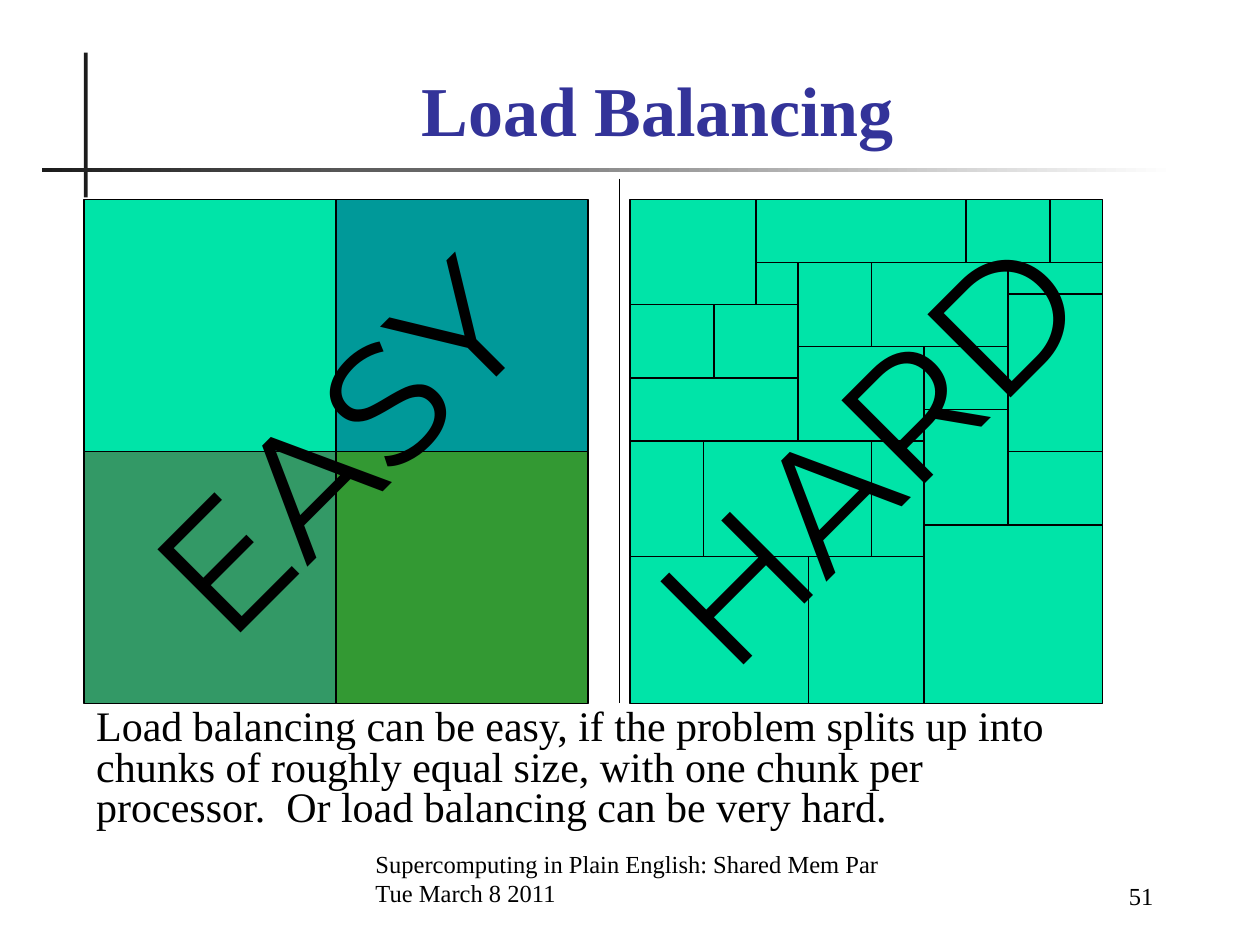
from typing import NamedTuple

from lxml.etree import SubElement
from pptx import Presentation
from pptx.dml.color import RGBColor
from pptx.enum.shapes import MSO_CONNECTOR, MSO_SHAPE
from pptx.enum.text import MSO_ANCHOR, PP_ALIGN
from pptx.oxml.ns import qn
from pptx.util import Cm, Pt

COLORS = {
    "ink": "000000",
    "rule": "1C1C1C",
    "paper": "FFFFFF",
    "title": "333399",
    "mint": "00E4A8",
    "teal": "009999",
    "sea": "339966",
    "leaf": "339933",
}
SERIF, SANS = "Times New Roman", "Montserrat"
UNIT = 2.54 / 12  # the chunk grid is a twelfth of an inch
TOP = 19  # upper edge of both squares, in grid units


class Chunk(NamedTuple):
    left: int
    top: int
    width: int
    height: int
    color: str = "mint"


class Caption(NamedTuple):
    lines: tuple[str, ...]
    left: float
    top: float
    width: float
    height: float
    size: int
    font: str = SERIF
    color: str = "ink"
    bold: bool = False
    align: PP_ALIGN = PP_ALIGN.LEFT
    anchor: MSO_ANCHOR = MSO_ANCHOR.TOP
    spacing: float = 1.0
    rotation: int = 0


# Chunks are placed relative to the upper left corner of their square
EASY_LEFT, HALF = 8, 24
EASY_CHUNKS = [
    Chunk(index % 2 * HALF, index // 2 * HALF, HALF, HALF, color)
    for index, color in enumerate(("teal", "sea", "leaf"), start=1)
]
EASY_CHUNKS.insert(0, Chunk(0, 0, HALF, HALF))

HARD_LEFT = 60
HARD_CHUNKS = [
    Chunk(*place) for place in (
        (0, 0, 12, 10), (12, 0, 20, 6), (32, 0, 8, 6), (40, 0, 5, 6),
        (12, 6, 4, 4), (16, 6, 7, 8), (23, 6, 13, 8), (36, 6, 9, 3),
        (36, 9, 9, 15), (0, 10, 8, 7), (8, 10, 8, 7), (16, 14, 12, 9),
        (28, 14, 8, 6), (0, 17, 16, 6), (28, 20, 8, 11), (0, 23, 7, 11),
        (7, 23, 16, 11), (23, 23, 5, 11), (36, 24, 9, 7), (28, 31, 17, 17),
        (0, 34, 17, 14), (17, 34, 11, 14),
    )
]

FURNITURE = [
    Caption(("Supercomputing in Plain English: Shared Mem Par", "Tue March 8 2011"),
            7.32, 17.15, 11.1, 1.27, 14, anchor=MSO_ANCHOR.BOTTOM),
    Caption(("51",), 19.89, 17.2, 3.61, 1.27, 14,
            align=PP_ALIGN.RIGHT, anchor=MSO_ANCHOR.BOTTOM),
    Caption(("Load Balancing",), 2.12, 1.27, 22.28, 1.88, 40, color="title",
            bold=True, align=PP_ALIGN.CENTER, anchor=MSO_ANCHOR.BOTTOM),
]
EXPLANATIONS = [
    Caption(("Load balancing can be easy, if the problem splits up into chunks of "
             "roughly equal size, with one chunk per processor.  Or load balancing "
             "can be very hard.",),
            1.69, 14.18, 20.75, 2.69, 24, spacing=0.8),
    Caption(("EASY",), 1.27, 6.78, 11, 4.32, 96, SANS,
            align=PP_ALIGN.CENTER, rotation=315),
    Caption(("HARD",), 11.81, 6.88, 11.28, 4.32, 96, SANS,
            align=PP_ALIGN.CENTER, rotation=315),
]


def rgb(name: str) -> RGBColor:
    return RGBColor.from_string(COLORS[name])


def add_rectangle(page, left: float, top: float, width: float, height: float):
    box = page.shapes.add_shape(
        MSO_SHAPE.RECTANGLE, Cm(left), Cm(top), Cm(width), Cm(height))
    box.shadow.inherit = False
    box.line.fill.background()
    return box


def add_chunk(page, chunk: Chunk, origin: int) -> None:
    box = add_rectangle(page, (origin + chunk.left) * UNIT, (TOP + chunk.top) * UNIT,
                        chunk.width * UNIT, chunk.height * UNIT)
    box.fill.solid()
    box.fill.fore_color.rgb = rgb(chunk.color)
    box.line.color.rgb = rgb("ink")
    box.line.width = Pt(0.75)


def add_caption(page, caption: Caption) -> None:
    box = page.shapes.add_textbox(Cm(caption.left), Cm(caption.top),
                                  Cm(caption.width), Cm(caption.height))
    box.rotation = caption.rotation
    frame = box.text_frame
    frame.word_wrap = True
    frame.vertical_anchor = caption.anchor
    frame.text = "\n".join(caption.lines)
    for paragraph in frame.paragraphs:
        paragraph.alignment = caption.align
        paragraph.line_spacing = caption.spacing
        paragraph.font.name = caption.font
        paragraph.font.size = Pt(caption.size)
        paragraph.font.bold = caption.bold
        paragraph.font.color.rgb = rgb(caption.color)


def add_title_rules(page) -> None:
    upright = add_rectangle(page, 1.69, 1.06, 0.08, 2.92)
    upright.fill.solid()
    upright.fill.fore_color.rgb = rgb("rule")

    fading = add_rectangle(page, 0.85, 3.39, 22.86, 0.08)
    fading.fill.gradient()
    fading.fill.gradient_angle = 0
    for stop, name in zip(fading.fill.gradient_stops, ("rule", "paper")):
        stop.color.rgb = rgb(name)


def add_divider(page) -> None:
    line = page.shapes.add_connector(
        MSO_CONNECTOR.STRAIGHT, Cm(12.49), Cm(3.6), Cm(12.49), Cm(14.18))
    line.line.color.rgb = rgb("ink")
    line.line.width = Pt(0.75)
    SubElement(line._element.spPr, qn("a:effectLst"))


def main() -> None:
    deck = Presentation()
    deck.slide_width, deck.slide_height = Cm(25.4), Cm(19.05)
    page = deck.slides.add_slide(deck.slide_layouts[6])

    # Title, footer and rules
    add_title_rules(page)
    for caption in FURNITURE:
        add_caption(page, caption)

    # Even split on the left, uneven split on the right
    for chunk in EASY_CHUNKS:
        add_chunk(page, chunk, EASY_LEFT)
    add_divider(page)
    for chunk in HARD_CHUNKS:
        add_chunk(page, chunk, HARD_LEFT)

    # Explanation and slanted words
    for caption in EXPLANATIONS:
        add_caption(page, caption)

    deck.save("out.pptx")


if __name__ == "__main__":
    main()
